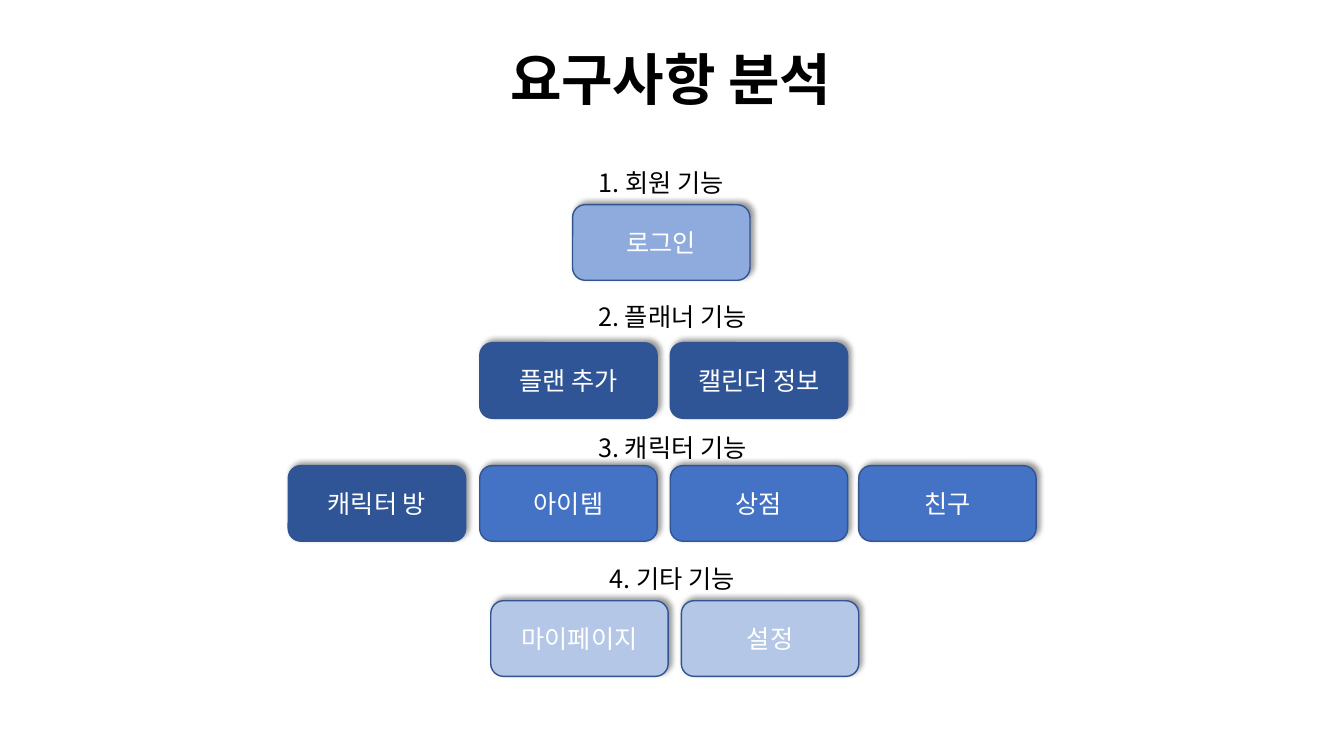
from dataclasses import dataclass

from lxml.etree import SubElement
from pptx import Presentation
from pptx.dml.color import RGBColor
from pptx.enum.shapes import MSO_SHAPE as Preset
from pptx.enum.text import MSO_ANCHOR as Anchor, MSO_AUTO_SIZE as AutoSize, PP_ALIGN as Align
from pptx.oxml.ns import qn
from pptx.shapes.autoshape import Shape
from pptx.slide import Slide
from pptx.util import Pt

FONT = "Noto Sans CJK KR"
LIGHT, PALE, MEDIUM, DARK = "8FAADC", "B4C7E7", "4472C4", "2F5597"
BUTTON_WIDTH, BUTTON_HEIGHT = 126.7, 54
HEADING_WIDTH, HEADING_HEIGHT = 210.2, 29


@dataclass
class Button:
    label: str
    left: float
    fill: str


@dataclass
class Section:
    heading: str
    heading_left: float
    heading_top: float
    button_top: float
    buttons: list[Button]


SECTIONS = [
    Section("1. 회원 기능", 367.2, 115.9, 146.2, [Button("로그인", 409, LIGHT)]),
    Section("2. 플래너 기능", 375.1, 211.7, 244.8, [
        Button("플랜 추가", 342.7, DARK),
        Button("캘린더 정보", 478.8, DARK),
    ]),
    Section("3. 캐릭터 기능", 375.1, 305.3, 332.6, [
        Button("캐릭터 방", 205.9, DARK),
        Button("아이템", 342.7, MEDIUM),
        Button("상점", 478.8, MEDIUM),
        Button("친구", 613.4, MEDIUM),
    ]),
    Section("4. 기타 기능", 375.1, 398.9, 429.1, [
        Button("마이페이지", 350.6, PALE),
        Button("설정", 486.7, PALE),
    ]),
]


def color(value: str) -> RGBColor:
    return RGBColor.from_string(value)


def write(box: Shape, text: str, *, size: float = 18, fill: str = "000000",
          bold: bool = False, anchor: Anchor = Anchor.TOP) -> None:
    frame = box.text_frame
    frame.word_wrap = True
    frame.auto_size = AutoSize.NONE
    frame.vertical_anchor = anchor
    para = frame.paragraphs[0]
    para.alignment = Align.CENTER
    span = para.add_run()
    span.text = text
    span.font.name = FONT
    span.font.size = Pt(size)
    span.font.bold = bold
    span.font.color.rgb = color(fill)
    SubElement(span.font._element, qn("a:ea"), typeface=FONT)


def add_shadow(box: Shape) -> None:
    box.shadow.inherit = False
    effects = box._element.spPr.find(qn("a:effectLst"))
    shadow = SubElement(effects, qn("a:outerShdw"), blurRad=str(Pt(4)), dist=str(Pt(3)),
                        dir=str(315 * 60000), algn="bl", rotWithShape="0")
    tint = SubElement(shadow, qn("a:srgbClr"), val="000000")
    SubElement(tint, qn("a:alpha"), val="40000")


def draw_title(page: Slide, text: str) -> None:
    title = page.shapes.title
    title.left, title.top, title.width, title.height = Pt(22.3), Pt(28.1), Pt(913.7), Pt(55.4)
    write(title, text, size=40, bold=True)


def draw_button(page: Slide, button: Button, top: float) -> None:
    box = page.shapes.add_shape(Preset.ROUNDED_RECTANGLE, Pt(button.left), Pt(top),
                                Pt(BUTTON_WIDTH), Pt(BUTTON_HEIGHT))
    box.fill.solid()
    box.fill.fore_color.rgb = color(button.fill)
    box.line.color.rgb = color("325491")
    box.line.width = Pt(1)
    add_shadow(box)
    write(box, button.label, fill="FFFFFF", anchor=Anchor.MIDDLE)


def draw_section(page: Slide, section: Section) -> None:
    heading = page.shapes.add_textbox(Pt(section.heading_left), Pt(section.heading_top),
                                      Pt(HEADING_WIDTH), Pt(HEADING_HEIGHT))
    write(heading, section.heading)
    for button in section.buttons:
        draw_button(page, button, section.button_top)


def main() -> None:
    deck = Presentation()
    deck.slide_width, deck.slide_height = Pt(960), Pt(540)
    page = deck.slides.add_slide(deck.slide_layouts[5])
    draw_title(page, "요구사항 분석")
    for section in SECTIONS:
        draw_section(page, section)
    deck.save("out.pptx")


if __name__ == "__main__":
    main()
